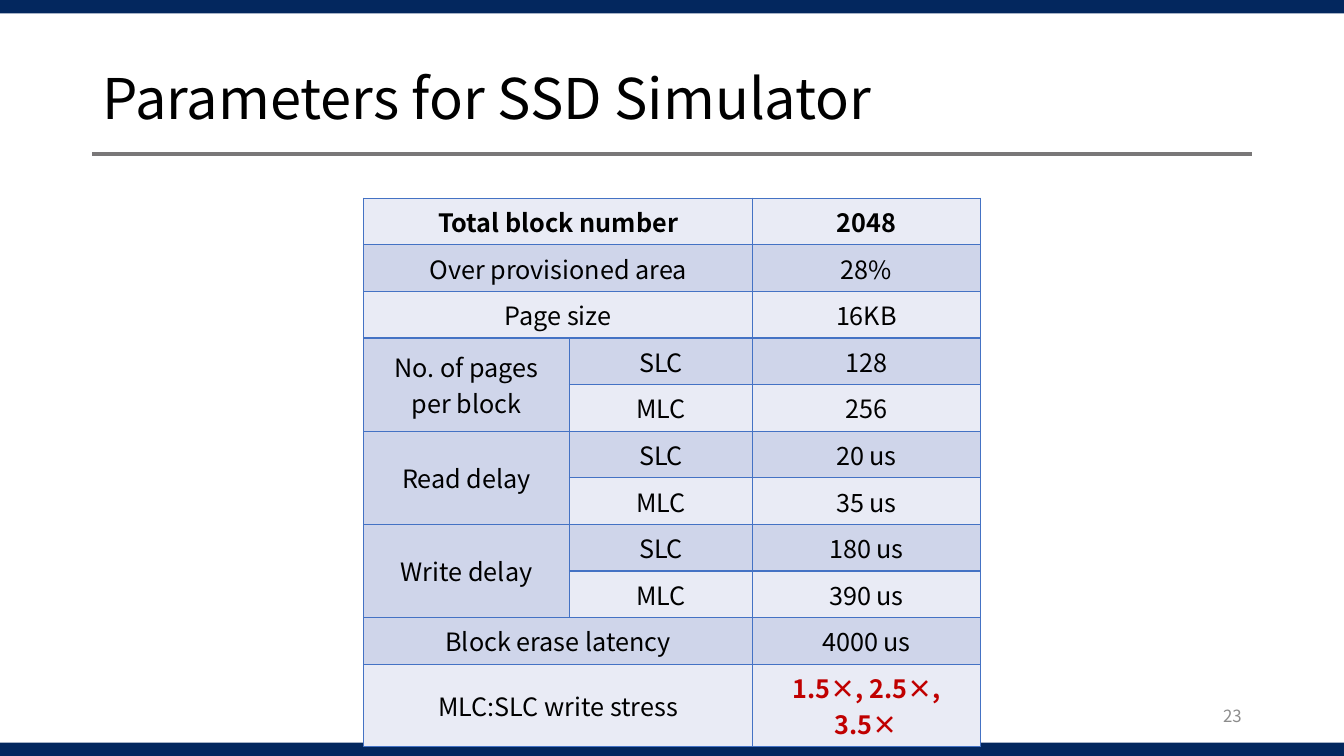
"""Build the slide that lists the SSD simulator parameters."""
from dataclasses import dataclass

from lxml import etree
from pptx import Presentation
from pptx import util as u
from pptx.dml.color import RGBColor
from pptx.enum import shapes, text
from pptx.oxml import ns

COLORS = {
    "navy": "03275E", "rule": "797778", "black": "000000", "gray": "8C8C8C",
    "border": "4472C4", "light": "E9EBF5", "band": "CFD5EA", "red": "C00000",
}
FONT = "Noto Sans CJK KR"
WIDTH, HEIGHT = u.Inches(13.33), u.Inches(7.5)
GRID_COLS, GRID_ROWS = 160, 90
MARGIN, CONTENT = 11, 138
BAR = 1.6
TABLE_COLS = (24.5, 21.8, 27.1)
TABLE_ROW, LAST_ROW = 5.55, 9.8


@dataclass(frozen=True)
class Style:
    size: int
    color: str = "black"
    bold: bool = False
    align: text.PP_ALIGN = text.PP_ALIGN.CENTER
    spacing: float = 1.0


@dataclass(frozen=True)
class Label:
    words: str
    box: tuple[float, float, float, float]
    style: Style


@dataclass(frozen=True)
class Cell:
    row: int
    col: int
    words: str
    rows: int = 1
    cols: int = 1
    style: Style = Style(18)


@dataclass(frozen=True)
class Parameter:
    name: str
    values: tuple[tuple[str, str], ...]
    name_style: Style = Style(18)
    value_style: Style = Style(18)


LABELS = (
    Label("Parameters for SSD Simulator", (MARGIN, 6.2, CONTENT, 11.8),
          Style(40, align=text.PP_ALIGN.LEFT, spacing=0.9)),
    Label("23", (113, 82.8, 36, 4.8), Style(12, "gray", align=text.PP_ALIGN.RIGHT)),
)
HEAD = Style(18, bold=True)
PARAMETERS = (
    Parameter("Total block number", (("", "2048"),), HEAD, HEAD),
    Parameter("Over provisioned area", (("", "28%"),)),
    Parameter("Page size", (("", "16KB"),)),
    Parameter("No. of pages per block", (("SLC", "128"), ("MLC", "256"))),
    Parameter("Read delay", (("SLC", "20 us"), ("MLC", "35 us"))),
    Parameter("Write delay", (("SLC", "180 us"), ("MLC", "390 us"))),
    Parameter("Block erase latency", (("", "4000 us"),)),
    Parameter("MLC:SLC write stress", (("", "1.5×, 2.5×, 3.5×"),),
              value_style=Style(18, "red", bold=True)),
)


def gx(cols: float) -> int:
    """Turn grid columns into a length."""
    return round(WIDTH * cols / GRID_COLS)


def gy(rows: float) -> int:
    """Turn grid rows into a length."""
    return round(HEIGHT * rows / GRID_ROWS)


def rgb(name: str) -> RGBColor:
    """Look up a named colour."""
    return RGBColor.from_string(COLORS[name])


def write(tf, words: str, style: Style) -> None:
    """Set one paragraph of text and format its run."""
    tf.text = words
    tf.word_wrap = True
    p = tf.paragraphs[0]
    p.alignment = style.align
    p.line_spacing = style.spacing
    for r in p.runs:
        r.font.name = FONT
        r.font.size = u.Pt(style.size)
        r.font.bold = style.bold
        r.font.color.rgb = rgb(style.color)


def add_bar(slide, top: float) -> None:
    """Draw a full-width bar."""
    sp = slide.shapes.add_shape(shapes.MSO_SHAPE.RECTANGLE, 0, gy(top), WIDTH, gy(BAR))
    sp.shadow.inherit = False
    sp.fill.solid()
    sp.fill.fore_color.rgb = rgb("navy")
    sp.line.fill.background()


def add_rule(slide, row: float) -> None:
    """Draw the line under the title."""
    cx = slide.shapes.add_connector(shapes.MSO_CONNECTOR.STRAIGHT, gx(MARGIN), gy(row),
                                    gx(MARGIN + CONTENT), gy(row))
    cx.line.color.rgb = rgb("rule")
    cx.line.width = u.Pt(3)
    etree.SubElement(cx._element.spPr, ns.qn("a:effectLst"))


def add_label(slide, label: Label) -> None:
    """Draw a text box centred vertically."""
    x, y, w, h = label.box
    sp = slide.shapes.add_textbox(gx(x), gy(y), gx(w), gy(h))
    write(sp.text_frame, label.words, label.style)
    sp.text_frame.vertical_anchor = text.MSO_ANCHOR.MIDDLE


def add_borders(cell) -> None:
    """Outline all four sides of a table cell."""
    tc_pr = cell._tc.get_or_add_tcPr()
    for i, side in enumerate(("lnL", "lnR", "lnT", "lnB")):
        ln = etree.Element(ns.qn(f"a:{side}"), w=str(u.Pt(1)))
        fill = etree.SubElement(ln, ns.qn("a:solidFill"))
        etree.SubElement(fill, ns.qn("a:srgbClr"), val=COLORS["border"])
        tc_pr.insert(i, ln)


def layout_cells() -> list[Cell]:
    """Place every parameter and its values in the table."""
    cells, row = [], 0
    for item in PARAMETERS:
        count = len(item.values)
        cells.append(Cell(row, 0, item.name, count, 2 if count == 1 else 1,
                          item.name_style))
        for kind, value in item.values:
            if kind:
                cells.append(Cell(row, 1, kind))
            cells.append(Cell(row, 2, value, style=item.value_style))
            row += 1
    return cells


def add_parameters(slide, left: float, top: float) -> None:
    """Draw the parameter table."""
    count = sum(len(item.values) for item in PARAMETERS)
    heights = [TABLE_ROW] * (count - 1) + [LAST_ROW]
    tbl = slide.shapes.add_table(count, len(TABLE_COLS), gx(left), gy(top),
                                 gx(sum(TABLE_COLS)), gy(sum(heights))).table
    tbl.first_row = tbl.horz_banding = False
    for col, width in zip(tbl.columns, TABLE_COLS):
        col.width = gx(width)
    for i, (row, height) in enumerate(zip(tbl.rows, heights)):
        row.height = gy(height)
        for cell in row.cells:
            cell.fill.solid()
            cell.fill.fore_color.rgb = rgb("band" if i % 2 else "light")
            add_borders(cell)
    for item in layout_cells():
        cell = tbl.cell(item.row, item.col)
        if item.rows * item.cols > 1:
            cell.merge(tbl.cell(item.row + item.rows - 1, item.col + item.cols - 1))
        write(cell.text_frame, item.words, item.style)
        cell.vertical_anchor = text.MSO_ANCHOR.MIDDLE


def main() -> None:
    """Build and save the slide."""
    prs = Presentation()
    prs.slide_width, prs.slide_height = WIDTH, HEIGHT
    slide = prs.slides.add_slide(prs.slide_layouts[6])
    for top in (0, GRID_ROWS - BAR):
        add_bar(slide, top)
    add_rule(slide, 18.3)
    for label in LABELS:
        add_label(slide, label)
    add_parameters(slide, 43.3, 23.6)
    prs.save("out.pptx")


if __name__ == "__main__":
    main()
